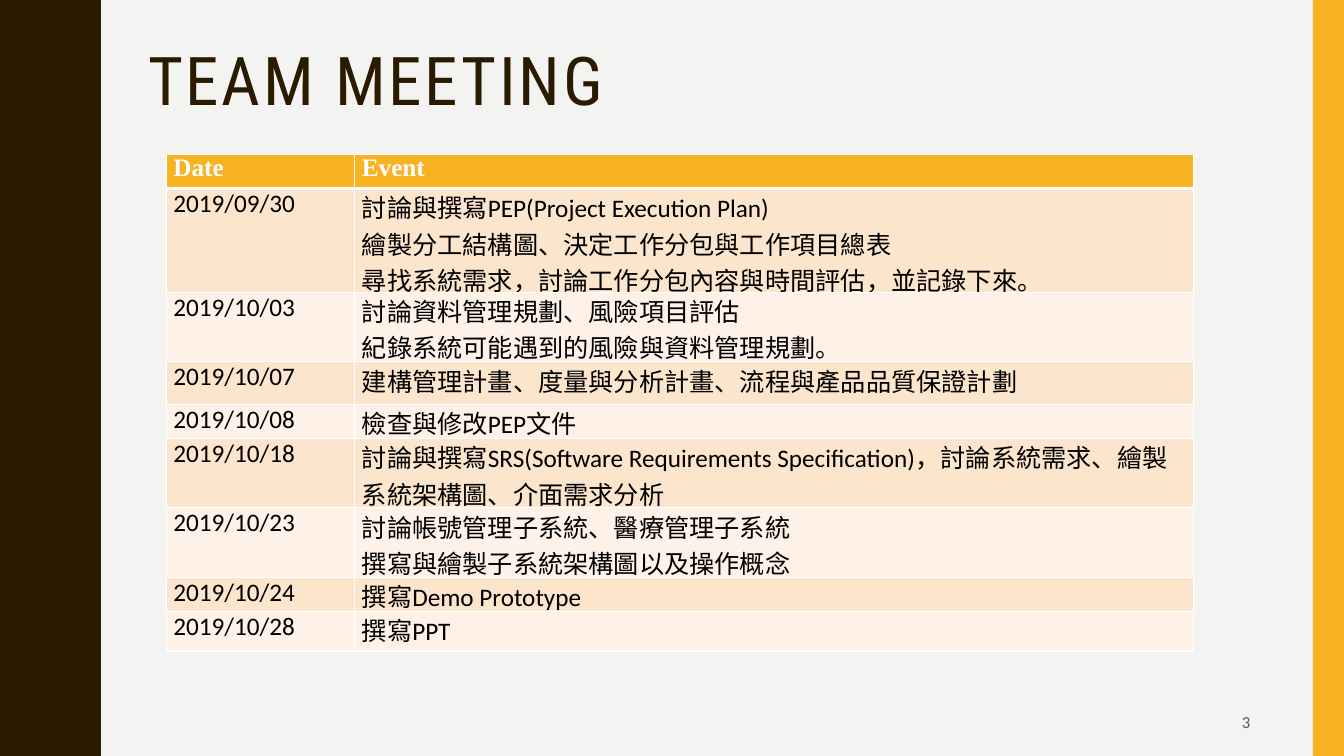
"""Builds the team meeting slide with its table of dates and events."""
from lxml import etree
from pptx import Presentation
from pptx.dml.color import RGBColor
from pptx.enum.shapes import MSO_SHAPE
from pptx.enum.text import MSO_ANCHOR, PP_ALIGN
from pptx.oxml.ns import qn
from pptx.util import Inches, Pt

RECTANGLE = MSO_SHAPE.RECTANGLE
MIDDLE = MSO_ANCHOR.MIDDLE
RIGHT = PP_ALIGN.RIGHT
BROWN, GOLD, WHITE = "2A1A00", "F8B323", "FFFFFF"
BANDS = ("FCE5CD", "FEF2E8")


def color(value):
    return RGBColor.from_string(value)


def set_font(font, name, size, value, bold=False):
    font.name = name
    font.size = Pt(size)
    font.bold = bold
    font.color.rgb = color(value)


deck = Presentation()
deck.slide_width = Inches(13.33)
deck.slide_height = Inches(7.5)
page = deck.slides.add_slide(deck.slide_layouts[6])
page.background.fill.solid()
page.background.fill.fore_color.rgb = color("F3F3F2")

rising = [(0.78, 0), (0.78, 0.07), (0.79, 0.14), (0.8, 0.2), (0.81, 0.25),
          (0.83, 0.29), (0.85, 0.33), (0.87, 0.38), (0.89, 0.42), (0.91, 0.46),
          (0.93, 0.5), (0.95, 0.55), (0.96, 0.61), (0.97, 0.68), (0.97, 0.75)]
falling = [(x, 1.5 - y) for x, y in reversed(rising)]
edge = [(x, y + 1.5 * wave) for wave in range(5) for x, y in rising + falling[1:]]
outline = page.shapes.build_freeform(0, 0, scale=Inches(1))
outline.add_line_segments(edge + [(0, 7.5)], close=True)
wavy_side = outline.convert_to_shape()
gold_bar = page.shapes.add_shape(RECTANGLE, Inches(13.02), 0, Inches(0.31), Inches(7.5))
for shape, value in ((wavy_side, BROWN), (gold_bar, GOLD)):
    shape.shadow.inherit = False
    shape.fill.solid()
    shape.fill.fore_color.rgb = color(value)
    shape.line.fill.background()

title = page.shapes.add_textbox(Inches(1.37), Inches(0.42), Inches(11.13), Inches(1.63))
title.text_frame.word_wrap = True
para = title.text_frame.paragraphs[0]
para.line_spacing = 0.9
span = para.add_run()
span.text = "TEAM MEETING"
set_font(span.font, "Roboto Condensed", 48, BROWN)
span.font._element.set("spc", "200")

meetings = [
    ("Date", "Event", 0.34),
    ("2019/09/30", "討論與撰寫PEP(Project Execution Plan)\n"
                   "繪製分工結構圖、決定工作分包與工作項目總表\n"
                   "尋找系統需求，討論工作分包內容與時間評估，並記錄下來。", 1.03),
    ("2019/10/03", "討論資料管理規劃、風險項目評估\n"
                   "紀錄系統可能遇到的風險與資料管理規劃。", 0.69),
    ("2019/10/07", "建構管理計畫、度量與分析計畫、流程與產品品質保證計劃", 0.42),
    ("2019/10/08", "檢查與修改PEP文件", 0.34),
    ("2019/10/18", "討論與撰寫SRS(Software Requirements Specification)，"
                   "討論系統需求、繪製系統架構圖、介面需求分析", 0.69),
    ("2019/10/23", "討論帳號管理子系統、醫療管理子系統\v"
                   "撰寫與繪製子系統架構圖以及操作概念", 0.69),
    ("2019/10/24", "撰寫Demo Prototype", 0.34),
    ("2019/10/28", "撰寫PPT", 0.39),
]
table = page.shapes.add_table(len(meetings), 2, Inches(1.65), Inches(1.53),
                              Inches(10.19), Inches(4.94)).table
table.columns[0].width = Inches(1.87)
table.columns[1].width = Inches(8.32)
for row, (date, event, height) in enumerate(meetings):
    table.rows[row].height = Inches(height)
    header = row == 0
    for column, text in enumerate((date, event)):
        cell = table.cell(row, column)
        cell.margin_left = cell.margin_right = Inches(0.07)
        cell.margin_top = cell.margin_bottom = 0
        cell.text_frame.text = text
        for para in cell.text_frame.paragraphs:
            if header:
                set_font(para.font, "Times New Roman", 18, WHITE, True)
            else:
                set_font(para.font, "Calibri", 18, "000000")
        properties = cell._tc.get_or_add_tcPr()
        for side in "LRTB":
            thick = (row, side) in ((0, "B"), (1, "T"))
            border = etree.SubElement(properties, qn("a:ln" + side), w=str(Pt(3 if thick else 1)))
            fill = etree.SubElement(border, qn("a:solidFill"))
            etree.SubElement(fill, qn("a:srgbClr"), val=WHITE)
        cell.fill.solid()
        cell.fill.fore_color.rgb = color(GOLD if header else BANDS[(row - 1) % 2])

number = page.shapes.add_textbox(Inches(9.42), Inches(6.97), Inches(3.08), Inches(0.38))
number.text_frame.word_wrap = True
number.text_frame.vertical_anchor = MIDDLE
para = number.text_frame.paragraphs[0]
para.text = "3"
para.alignment = RIGHT
set_font(para.font, "Calibri", 12, "595959")

deck.save("out.pptx")
